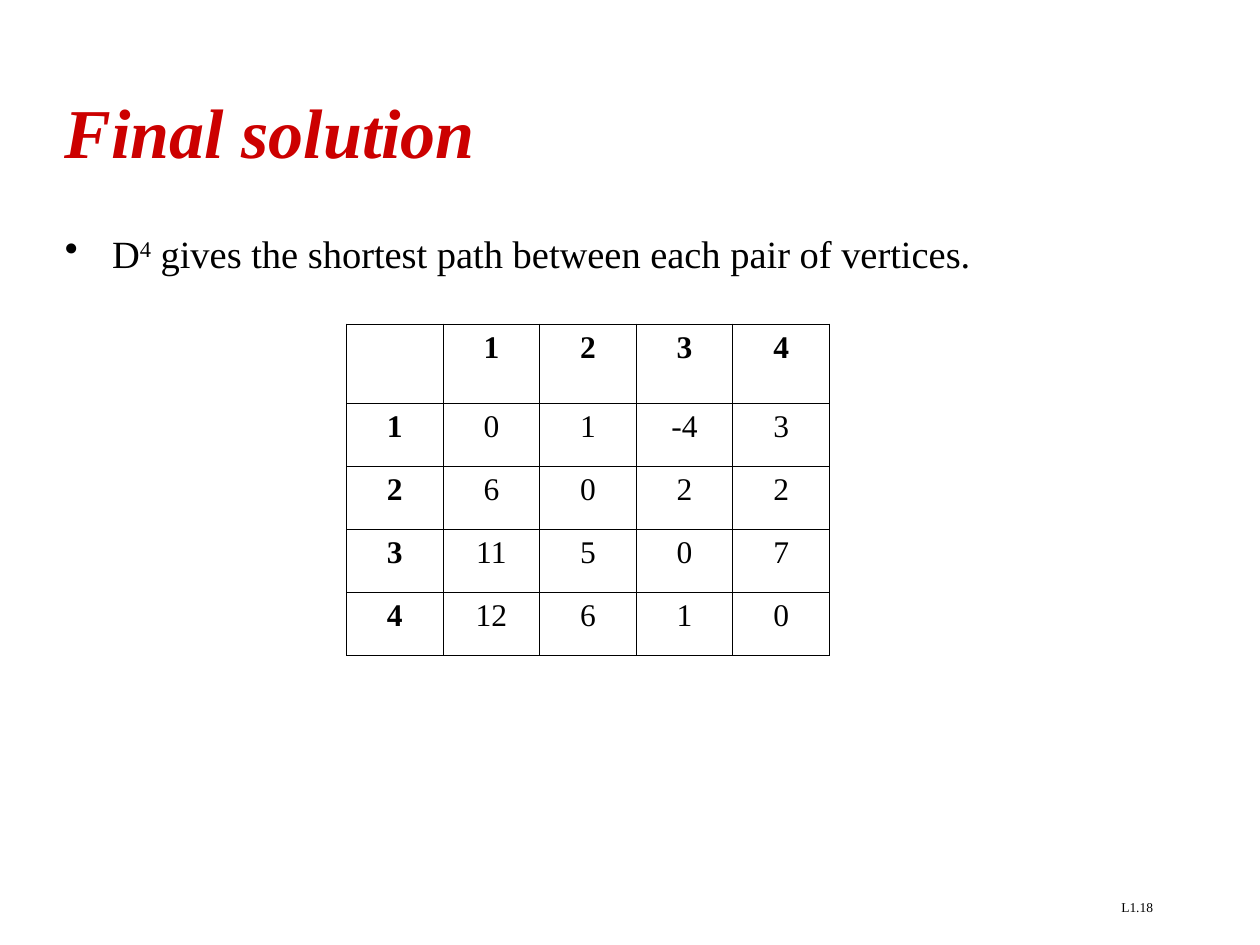
import pptx
import pptx.dml.color
import pptx.enum.text
import pptx.oxml
import pptx.oxml.ns
import pptx.util

Pt = pptx.util.Pt
Align = pptx.enum.text.PP_ALIGN
Anchor = pptx.enum.text.MSO_ANCHOR


def color(hex_value):
    return pptx.dml.color.RGBColor.from_string(hex_value)


def xml_element(markup):
    namespaces = pptx.oxml.ns.nsdecls("a")
    return pptx.oxml.parse_xml(markup.replace(" NS", " " + namespaces, 1))


class MatrixSlide:
    font = "Times New Roman"
    ink = "000000"
    accent = "CC0000"
    border = 0.45

    def __init__(self, deck):
        self.slide = deck.slides.add_slide(deck.slide_layouts[6])

    def style(self, run, size, hex_value=ink, bold=False, italic=False):
        run.font.name = self.font
        run.font.size = Pt(size)
        run.font.color.rgb = color(hex_value)
        run.font.bold = bold
        run.font.italic = italic

    def frame(self, left, top, width, height, inset_top=3.6):
        box = self.slide.shapes.add_textbox(Pt(left), Pt(top), Pt(width), Pt(height))
        box.text_frame.word_wrap = True
        box.text_frame.margin_top = Pt(inset_top)
        return box.text_frame

    def title(self, text, bounds):
        heading = self.frame(*bounds, inset_top=9)
        heading.vertical_anchor = Anchor.MIDDLE
        heading.text = text
        self.style(heading.paragraphs[0].runs[0], 40, self.accent, True, True)

    def bullet(self, parts, bounds):
        statement = self.frame(*bounds, inset_top=5.6).paragraphs[0]
        statement.alignment = Align.JUSTIFY
        properties = statement._p.get_or_add_pPr()
        properties.set("marL", str(Pt(27)))
        properties.set("indent", str(Pt(-27)))
        properties.append(xml_element(
            f'<a:buClr NS><a:srgbClr val="{self.ink}"/></a:buClr>'))
        properties.append(xml_element('<a:buChar NS char="•"/>'))
        for text, raised in parts:
            run = statement.add_run()
            run.text = text
            self.style(run, 22)
            if raised:
                run.font._element.set("baseline", "30000")

    def matrix(self, rows, bounds, header_height, row_height):
        grid = self.slide.shapes.add_table(
            len(rows), len(rows[0]), *map(Pt, bounds)).table
        grid.first_row = grid.horz_banding = False
        for column in grid.columns:
            column.width = Pt(bounds[2] / len(rows[0]))
        for r, values in enumerate(rows):
            grid.rows[r].height = Pt(row_height if r else header_height)
            for c, value in enumerate(values):
                self.cell(grid.cell(r, c), value, r == 0 or c == 0)

    def cell(self, cell, value, is_heading):
        cell.fill.background()
        properties = cell._tc.get_or_add_tcPr()
        for position, side in enumerate("LRTB"):
            properties.insert(position, xml_element(
                f'<a:ln{side} NS w="{Pt(self.border)}"><a:solidFill>'
                f'<a:srgbClr val="{self.ink}"/></a:solidFill></a:ln{side}>'))
        if value:
            cell.text_frame.text = value
            entry = cell.text_frame.paragraphs[0]
            entry.alignment = Align.CENTER
            self.style(entry.runs[0], 18, bold=is_heading)

    def page_label(self, text, bounds):
        label = self.frame(*bounds)
        label.text = text
        label.paragraphs[0].alignment = Align.RIGHT
        self.style(label.paragraphs[0].runs[0], 7.7)


def main():
    deck = pptx.Presentation()
    deck.slide_width, deck.slide_height = Pt(720), Pt(540)
    solution = MatrixSlide(deck)
    solution.page_label("L1.18", (516, 510, 150, 18))
    solution.title("Final solution", (30, 30, 672, 84))
    solution.bullet(
        [("D", False), ("4", True),
         (" gives the shortest path between each pair of vertices.", False)],
        (30, 126, 636, 65.5))
    distances = [
        ["", "1", "2", "3", "4"],
        ["1", "0", "1", "-4", "3"],
        ["2", "6", "0", "2", "2"],
        ["3", "11", "5", "0", "7"],
        ["4", "12", "6", "1", "0"],
    ]
    solution.matrix(distances, (198, 185.2, 276, 189.4), 45.4, 36)
    deck.save("out.pptx")


if __name__ == "__main__":
    main()
